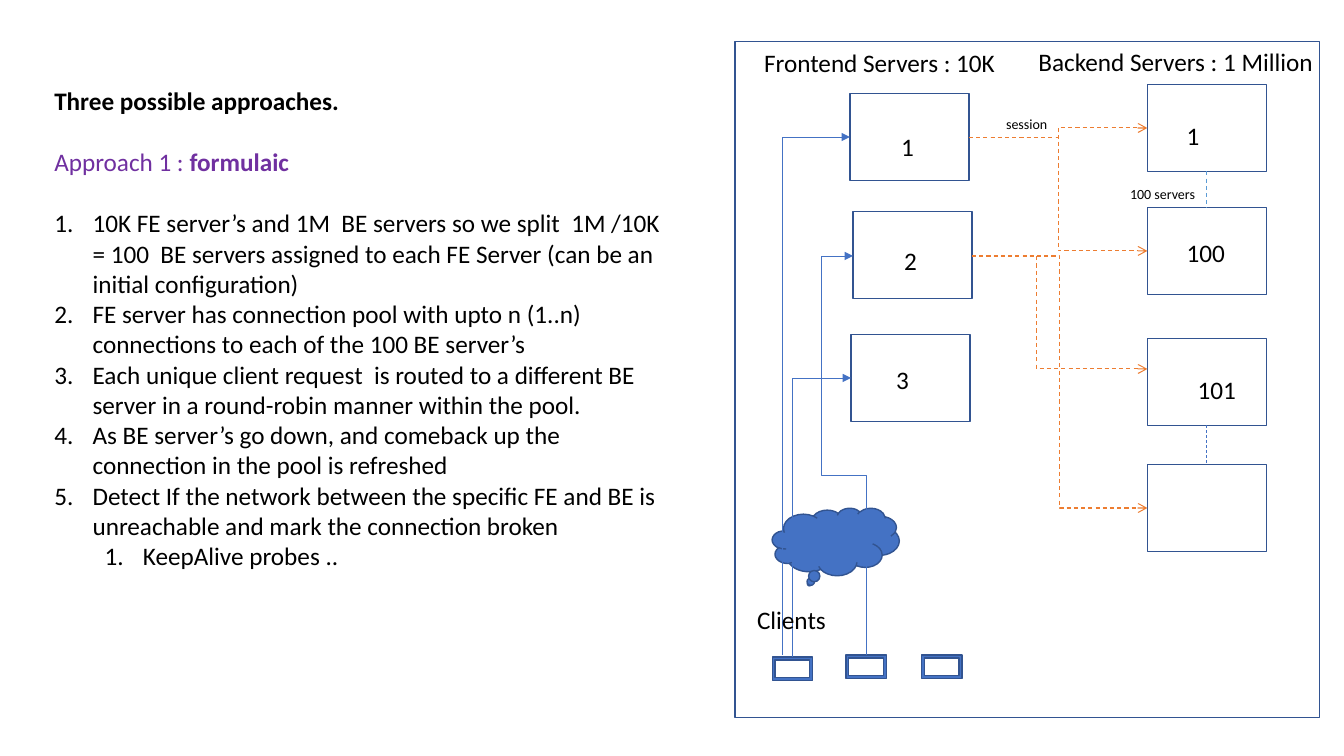
from pptx import Presentation
from pptx.dml.color import RGBColor
from pptx.enum.dml import MSO_LINE
from pptx.enum.shapes import MSO_CONNECTOR as CONNECTOR, MSO_SHAPE as SHAPE
from pptx.enum.text import MSO_AUTO_SIZE as AUTO_SIZE
from pptx.oxml.ns import qn
from pptx.util import Inches, Pt
from lxml.etree import SubElement

FONT = "Calibri"
BLACK, WHITE, PURPLE = "000000", "FFFFFF", "7030A0"
BLUE, BORDER, ORANGE, LIGHT_BLUE = "4472C4", "325491", "ED7D31", "5B9BD5"
SERVER_SIZE = (1.18, 0.86)
CLIENT_SIZE = (0.4, 0.23)
BACKEND_LEFT = 11.38

headings = [
    [("Three possible approaches.", {"bold": True}, BLACK)],
    [("Approach 1 : ", {"bold": False}, PURPLE), ("formulaic", {"bold": True}, PURPLE)],
]
steps = [
    "10K FE server’s and 1M  BE servers so we split  1M /10K = 100  BE servers "
    "assigned to each FE Server (can be an initial configuration)",
    "FE server has connection pool with upto n (1..n) connections to each of the 100 BE server’s",
    "Each unique client request  is routed to a different BE server in a round-robin manner within the pool.",
    "As BE server’s go down, and comeback up the connection in the pool is refreshed",
    "Detect If the network between the specific FE and BE is unreachable and mark the connection broken",
]
substep = "KeepAlive probes .."

frontends = [(8.43, 0.93), (8.46, 2.1), (8.44, 3.32)]
backends = [(BACKEND_LEFT, top) for top in (0.84, 2.06, 3.36, 4.61)]
clients = [(7.66, 6.52), (8.39, 6.5), (9.14, 6.5)]

labels = [
    ("Backend Servers : 1 Million", 10.2, 0.41, 2.95, 0.41, 18, True),
    ("Frontend Servers : 10K", 7.48, 0.42, 2.71, 0.4, 18, True),
    ("Clients", 7.41, 5.95, 0.89, 0.4, 18, False),
    ("100 servers", 11.11, 1.79, 0.86, 0.27, 10, False),
    ("session", 9.88, 1.1, 0.61, 0.27, 10, False),
    ("1", 8.84, 1.25, 0.33, 0.4, 18, False),
    ("2", 8.87, 2.38, 0.27, 0.4, 18, True),
    ("3", 8.79, 3.57, 0.37, 0.4, 18, True),
    ("1", 11.67, 1.14, 0.58, 0.4, 18, True),
    ("100", 11.67, 2.31, 0.58, 0.4, 18, True),
    ("101", 11.78, 3.66, 0.65, 0.4, 18, True),
]

client_routes = [
    ((7.86, 6.52), (8.44, 3.75), "bentConnector2", 90, ()),
    ((8.59, 6.5), (8.46, 2.54), "bentConnector4", 270, (0.45, 3.45)),
    ((7.76, 6.5), (8.43, 1.36), "bentConnector2", 90, ()),
]
sessions = [
    ((9.61, 1.36), 1.27, 0.5),
    ((9.61, 1.36), 2.49, 0.5),
    ((9.64, 2.54), 3.66, 0.37),
    ((9.64, 2.54), 5.04, 0.5),
]
server_ranges = [(1.7, 2.06, LIGHT_BLUE, 0.75), (4.22, 4.61, BLUE, 0.5)]

presentation = Presentation()
presentation.slide_width, presentation.slide_height = Inches(13.33), Inches(7.5)
slide = presentation.slides.add_slide(presentation.slide_layouts[6])


def color(value):
    return RGBColor.from_string(value)


def add_box(kind, position, size, fill=None):
    shape = slide.shapes.add_shape(kind, *map(Inches, position + size))
    shape.shadow.inherit = False
    if fill:
        shape.fill.solid()
        shape.fill.fore_color.rgb = color(fill)
    else:
        shape.fill.background()
    shape.line.color.rgb = color(BORDER)
    shape.line.width = Pt(1)


def add_run(paragraph, text, size=18, tint=BLACK, **formats):
    run = paragraph.add_run()
    run.text = text
    run.font.color.rgb = color(tint)
    for name, value in {"name": FONT, "size": Pt(size), **formats}.items():
        setattr(run.font, name, value)


def add_text(left, top, width, height, wrap=True):
    frame = slide.shapes.add_textbox(*map(Inches, (left, top, width, height))).text_frame
    frame.word_wrap = wrap
    frame.auto_size = AUTO_SIZE.SHAPE_TO_FIT_TEXT
    return frame


def number(paragraph, indent):
    properties = paragraph._p.get_or_add_pPr()
    properties.set("marL", str(Inches(indent)))
    properties.set("indent", str(-Inches(0.38)))
    SubElement(properties, qn("a:buFont"), typeface="+mj-lt")
    SubElement(properties, qn("a:buAutoNum"), type="arabicPeriod")


def add_line(start, end, tint, width, preset="line", turn=0, adjustments=(), head=None, dashed=False):
    if turn:
        sign = 1 if turn == 90 else -1
        center_x, center_y = [(a + b) / 2 for a, b in zip(start, end)]
        start, end = [
            (center_x + sign * (y - center_y), center_y - sign * (x - center_x))
            for x, y in (start, end)
        ]
    kind = CONNECTOR.STRAIGHT if preset == "line" else CONNECTOR.ELBOW
    connector = slide.shapes.add_connector(kind, *map(Inches, start + end))
    connector.line.color.rgb = color(tint)
    connector.line.width = Pt(width)
    if dashed:
        connector.line.dash_style = MSO_LINE.DASH
    properties = connector._element.spPr
    if turn:
        properties.find(qn("a:xfrm")).set("rot", str(turn * 60000))
    geometry = properties.find(qn("a:prstGeom"))
    geometry.set("prst", preset)
    for index, value in enumerate(adjustments, 1):
        name = "adj%d" % index
        SubElement(geometry.find(qn("a:avLst")), qn("a:gd"), name=name, fmla="val %d" % round(value * 100000))
    if head:
        SubElement(properties.find(qn("a:ln")), qn("a:tailEnd"), type=head)
    SubElement(properties, qn("a:effectLst"))


approach = add_text(0.44, 0.8, 6.23, 4.95)
for index, runs in enumerate(headings):
    paragraph = approach.add_paragraph() if index else approach.paragraphs[0]
    paragraph.space_after = Pt(22)
    for text, formats, tint in runs:
        add_run(paragraph, text, tint=tint, **formats)
for text in steps:
    paragraph = approach.add_paragraph()
    number(paragraph, 0.38)
    add_run(paragraph, text)
paragraph = approach.add_paragraph()
paragraph.level = 1
number(paragraph, 0.88)
add_run(paragraph, substep)

add_box(SHAPE.RECTANGLE, (7.29, 0.41), (5.8, 6.71))
for position in backends + frontends:
    add_box(SHAPE.RECTANGLE, position, SERVER_SIZE, WHITE)
add_box(SHAPE.CLOUD_CALLOUT, (7.66, 5.04), (1.26, 0.67), BLUE)
for position in clients:
    add_box(SHAPE.FRAME, position, CLIENT_SIZE, BLUE)

for start, end, preset, turn, adjustments in client_routes:
    add_line(start, end, BLUE, 0.5, preset, turn, adjustments, "triangle")
for start, end_y, bend in sessions:
    add_line(start, (BACKEND_LEFT, end_y), ORANGE, 0.75, "bentConnector3",
             adjustments=(bend,), head="arrow", dashed=True)
range_x = BACKEND_LEFT + SERVER_SIZE[0] / 2
for top, bottom, tint, width in server_ranges:
    add_line((range_x, top), (range_x, bottom), tint, width, dashed=True)

for text, left, top, width, height, size, wrap in labels:
    frame = add_text(left, top, width, height, wrap)
    add_run(frame.paragraphs[0], text, size)

presentation.save("out.pptx")
